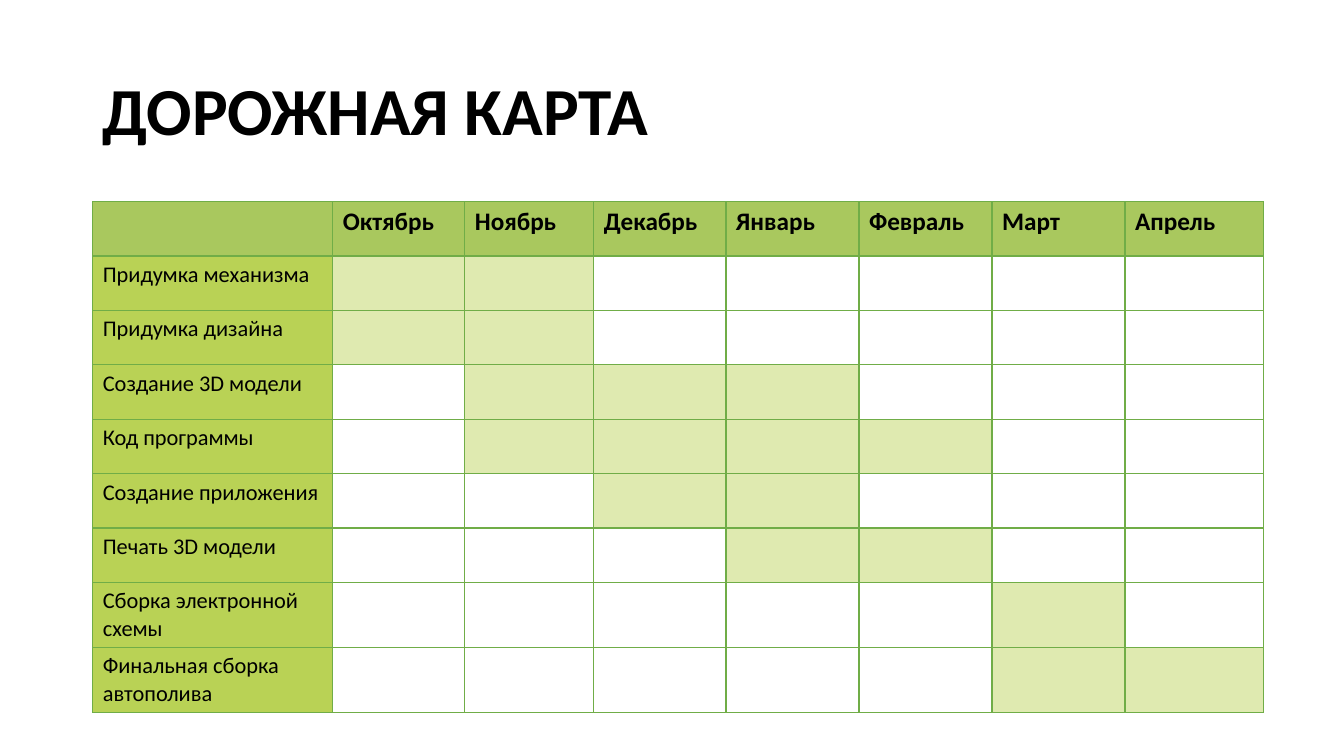
from dataclasses import dataclass

from lxml.etree import SubElement
from pptx import Presentation
from pptx.dml.color import RGBColor as Color
from pptx.enum.text import MSO_ANCHOR as Anchor, MSO_AUTO_SIZE as AutoSize, PP_ALIGN as Align
from pptx.oxml.ns import qn
from pptx.util import Inches, Pt


@dataclass(frozen=True)
class Theme:
    font: str = "Calibri"
    text: str = "000000"
    header: str = "A9C85E"
    task: str = "B9D255"
    active: str = "DFEAB0"
    idle: str = "FFFFFF"
    border: str = "70AD47"
    title_size: int = 48
    header_size: int = 18
    task_size: int = 16
    thin: int = 1
    thick: int = 2


THEME = Theme()
MONTHS = ["Октябрь", "Ноябрь", "Декабрь", "Январь", "Февраль", "Март", "Апрель"]
TASKS = [
    ("Придумка механизма", "Октябрь", "Ноябрь"),
    ("Придумка дизайна", "Октябрь", "Ноябрь"),
    ("Создание 3D модели", "Ноябрь", "Январь"),
    ("Код программы", "Ноябрь", "Февраль"),
    ("Создание приложения", "Декабрь", "Январь"),
    ("Печать 3D модели", "Январь", "Февраль"),
    ("Сборка электронной схемы", "Март", "Март"),
    ("Финальная сборка автополива", "Март", "Апрель"),
]
COLUMN_WIDTHS = [2.38, 1.31, 1.28, 1.31, 1.32, 1.32, 1.32, 1.37]
ROW_HEIGHT = 0.54


def add_span(para, text, size, bold=False):
    span = para.add_run()
    span.text = text
    span.font.name = THEME.font
    span.font.size = Pt(size)
    span.font.bold = bold
    span.font.color.rgb = Color.from_string(THEME.text)


def add_title(page, text):
    title = page.shapes.title
    title.left, title.top = Inches(0.92), Inches(0.4)
    title.width, title.height = Inches(11.5), Inches(1.45)
    frame = title.text_frame
    frame.word_wrap = True
    frame.auto_size = AutoSize.NONE
    frame.vertical_anchor = Anchor.MIDDLE
    para = frame.paragraphs[0]
    para.alignment = Align.LEFT
    para.line_spacing = 0.9
    add_span(para, text, THEME.title_size, bold=True)


def set_borders(cell, top, bottom):
    properties = cell._tc.get_or_add_tcPr()
    widths = {"L": THEME.thin, "R": THEME.thin, "T": top, "B": bottom}
    for side, width in widths.items():
        line = SubElement(properties, qn(f"a:ln{side}"), w=str(Pt(width)))
        fill = SubElement(line, qn("a:solidFill"))
        SubElement(fill, qn("a:srgbClr"), val=THEME.border)


def format_cell(cell, row, fill):
    top = THEME.thick if row == 1 else THEME.thin
    bottom = THEME.thick if row == 0 else THEME.thin
    set_borders(cell, top, bottom)
    cell.fill.solid()
    cell.fill.fore_color.rgb = Color.from_string(fill)


def add_roadmap(page):
    row_count = len(TASKS) + 1
    frame = page.shapes.add_table(
        row_count, len(COLUMN_WIDTHS), Inches(0.92), Inches(2),
        Inches(sum(COLUMN_WIDTHS)), Inches(ROW_HEIGHT * row_count))
    table = frame.table
    table.horz_banding = False
    for column, width in zip(table.columns, COLUMN_WIDTHS):
        column.width = Inches(width)
    for row in table.rows:
        row.height = Inches(ROW_HEIGHT)

    format_cell(table.cell(0, 0), 0, THEME.header)
    for column, month in enumerate(MONTHS, 1):
        cell = table.cell(0, column)
        format_cell(cell, 0, THEME.header)
        add_span(cell.text_frame.paragraphs[0], month, THEME.header_size, bold=True)

    for row, (task, start, end) in enumerate(TASKS, 1):
        name_cell = table.cell(row, 0)
        format_cell(name_cell, row, THEME.task)
        add_span(name_cell.text_frame.paragraphs[0], task, THEME.task_size)
        first, last = MONTHS.index(start), MONTHS.index(end)
        for index in range(len(MONTHS)):
            fill = THEME.active if first <= index <= last else THEME.idle
            format_cell(table.cell(row, index + 1), row, fill)


def main():
    deck = Presentation()
    deck.slide_width, deck.slide_height = Inches(13.33), Inches(7.5)
    page = deck.slides.add_slide(deck.slide_layouts[5])
    add_title(page, "ДОРОЖНАЯ КАРТА")
    add_roadmap(page)
    deck.save("out.pptx")


if __name__ == "__main__":
    main()
